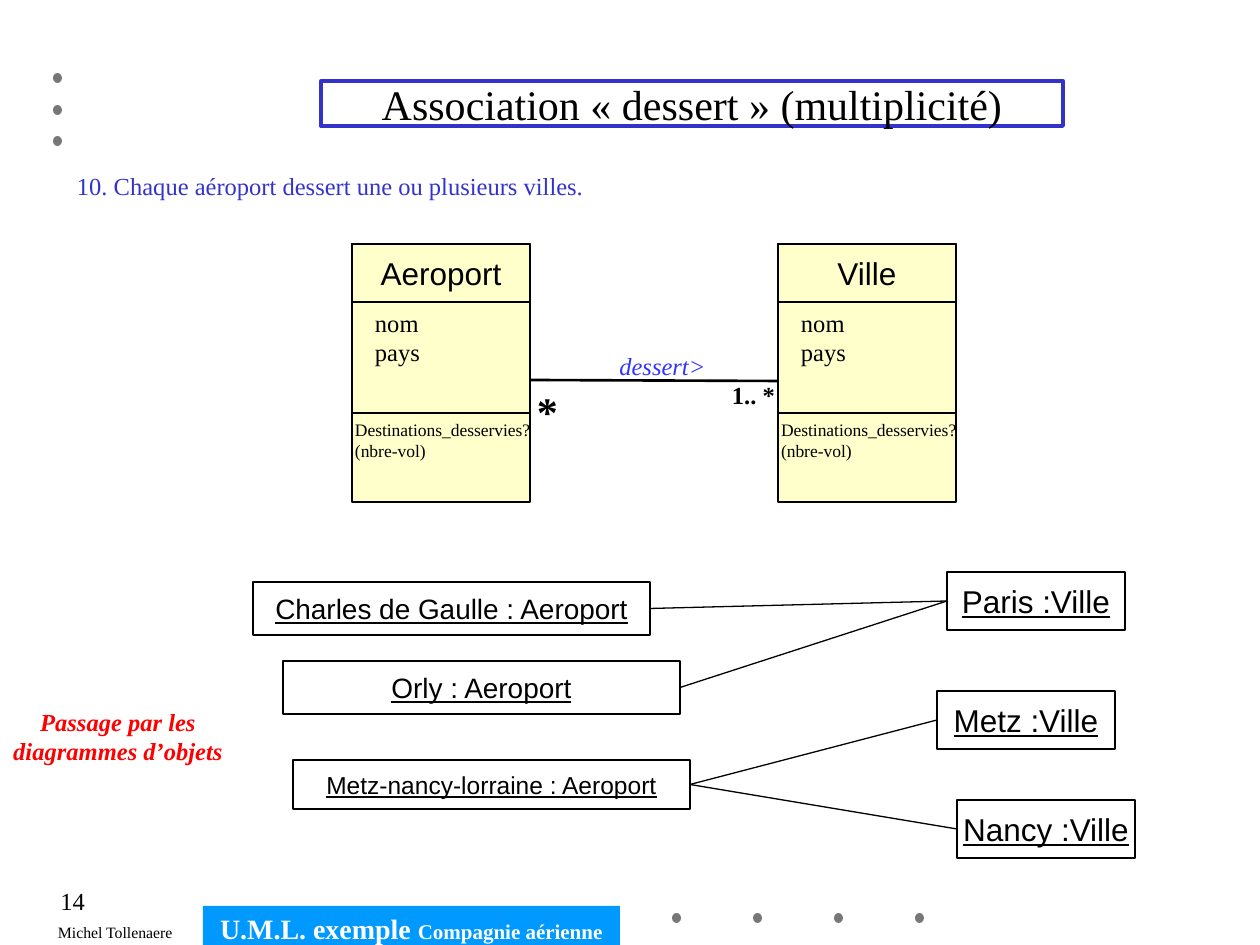
from dataclasses import dataclass

from lxml.etree import SubElement
from pptx import Presentation
from pptx.dml.color import RGBColor
from pptx.enum.shapes import MSO_CONNECTOR as CONN, MSO_SHAPE as SHAPE
from pptx.enum.text import MSO_ANCHOR as ANCHOR, PP_ALIGN as ALIGN
from pptx.oxml.ns import qn
from pptx.util import Pt

SCALE = 914400 / 126  # EMU per px


@dataclass(frozen=True)
class Theme:
    serif: str = "Times New Roman"
    sans: str = "Arial"
    black: str = "000000"
    white: str = "FFFFFF"
    blue: str = "3333CC"
    role: str = "3333FF"
    red: str = "FF0000"
    cream: str = "FFFFCC"
    footer: str = "0099FF"
    dot: str = "777777"
    title: int = 24
    heading: int = 18
    label: int = 16
    body: int = 14
    small: int = 12
    method: int = 10
    author: int = 9


T = Theme()
prs = Presentation()
prs.slide_width, prs.slide_height = round(1260 * SCALE), round(945 * SCALE)
s = prs.slides.add_slide(prs.slide_layouts[5])


def add_box(x, y, w, h, fill=None, line=None, kind=SHAPE.RECTANGLE):
    sp = s.shapes.add_shape(kind, *(round(v * SCALE) for v in (x, y, w, h)))
    sp.shadow.inherit = False
    if fill:
        sp.fill.solid()
        sp.fill.fore_color.rgb = RGBColor.from_string(fill)
    else:
        sp.fill.background()
    if line:
        sp.line.color.rgb = RGBColor.from_string(line)
        sp.line.width = Pt(0.75)
    else:
        sp.line.fill.background()
    return sp


def set_text(sp, text, size, color=T.black, font=T.serif, align=ALIGN.LEFT,
             wrap=True, anchor=ANCHOR.TOP, inset=13, **style):
    tf = sp.text_frame
    tf.text = text
    tf.word_wrap = wrap
    tf.vertical_anchor = anchor
    tf.margin_left = tf.margin_right = round(inset * SCALE)
    tf.margin_top = tf.margin_bottom = round(6 * SCALE)
    for p in tf.paragraphs:
        p.alignment = align
        p.font.name, p.font.size = font, Pt(size)
        p.font.color.rgb = RGBColor.from_string(color)
        for name, value in style.items():
            setattr(p.font, name, value)


# Decorative dots
dots = [(53, y) for y in (73, 105, 136)] + [(672 + 81 * i, 913) for i in range(4)]
for x, y in dots:
    add_box(x, y, 9, 10, T.dot, kind=SHAPE.OVAL)

# Footer band
band = add_box(203, 906, 417, 39, T.footer)
set_text(band, "U.M.L. exemple ", T.label, T.white, align=ALIGN.CENTER, bold=True)
r = band.text_frame.paragraphs[0].add_run()
r.text = "Compagnie aérienne"
r.font.size = Pt(T.small)

# Title
title = s.shapes.title
title.left, title.top, title.width, title.height = (
    round(v * SCALE) for v in (321, 81, 742, 45))
title.line.color.rgb = RGBColor.from_string(T.blue)
title.line.width = Pt(2.25)
set_text(title, "Association «\u00a0dessert\u00a0» (multiplicité)".replace("\u00a0", " "),
         T.title, align=ALIGN.CENTER, anchor=ANCHOR.MIDDLE)

# Class diagram
lines = [((530, 380), (778, 381), 1.5)]
for x, name in ((352, "Aeroport"), (778, "Ville")):
    add_box(x, 244, 178, 258, T.cream, T.black)
    set_text(add_box(x, 244, 178, 58, line=T.black), name, T.heading, font=T.sans,
             align=ALIGN.CENTER, anchor=ANCHOR.MIDDLE, inset=0)
    set_text(add_box(x + 10, 302, 71, 72), "nom\npays", T.body, wrap=False)
    set_text(add_box(x - 10, 413, 208, 55), "Destinations_desservies? (nbre-vol)",
             T.method)
    lines.append(((x, 413), (x + 178, 413), 0.75))

# Free-standing texts
center = {"align": ALIGN.CENTER}
for box, text, size, style in (
    ((64, 165, 1131, 43), "10. Chaque aéroport dessert une ou plusieurs villes.",
     T.body, {"color": T.blue}),
    ((719, 374, 68, 43), "1.. *", T.body, {"wrap": False, "bold": True}),
    ((524, 380, 45, 63), "*", T.title, {"wrap": False, "bold": True}),
    ((607, 344, 111, 43), "dessert>", T.body,
     {**center, "color": T.role, "wrap": False, "anchor": ANCHOR.MIDDLE, "italic": True}),
    ((0, 701, 236, 72), "Passage par les diagrammes d’objets", T.body,
     {**center, "color": T.red, "bold": True, "italic": True}),
    ((0, 880, 98, 39), "14", T.body, {"align": ALIGN.RIGHT}),
    ((45, 917, 141, 32), "Michel Tollenaere", T.author, {"wrap": False}),
):
    set_text(add_box(*box), text, size, **style)

# Object diagram
objects = {}
for name, kind, x, y, w, h, size in (
    ("Charles de Gaulle", " : Aeroport", 253, 582, 397, 53, T.label),
    ("Orly", " : Aeroport", 283, 661, 397, 53, T.label),
    ("Metz-nancy-lorraine", " : Aeroport", 293, 760, 397, 49, T.body),
    ("Paris", " :Ville", 947, 572, 178, 58, T.heading),
    ("Metz", " :Ville", 937, 691, 178, 58, T.heading),
    ("Nancy", " :Ville", 957, 800, 178, 58, T.heading),
):
    sp = objects[name] = add_box(x, y, w, h, T.white, T.black)
    set_text(sp, name + kind, size, font=T.sans, align=ALIGN.CENTER,
             anchor=ANCHOR.MIDDLE, inset=0, underline=True)

# Links between objects, then class lines
links = []
for airport, city in (("Charles de Gaulle", "Paris"), ("Orly", "Paris"),
                      ("Metz-nancy-lorraine", "Metz"),
                      ("Metz-nancy-lorraine", "Nancy")):
    link = s.shapes.add_connector(CONN.STRAIGHT, 0, 0, 0, 0)
    link.begin_connect(objects[airport], 3)
    link.end_connect(objects[city], 1)
    links.append((link, 0.75))
for start, end, width in lines:
    ends = (round(v * SCALE) for v in start + end)
    links.append((s.shapes.add_connector(CONN.STRAIGHT, *ends), width))
for link, width in links:
    link.line.color.rgb = RGBColor.from_string(T.black)
    link.line.width = Pt(width)
    SubElement(link._element.spPr, qn("a:effectLst"))

prs.save("out.pptx")
